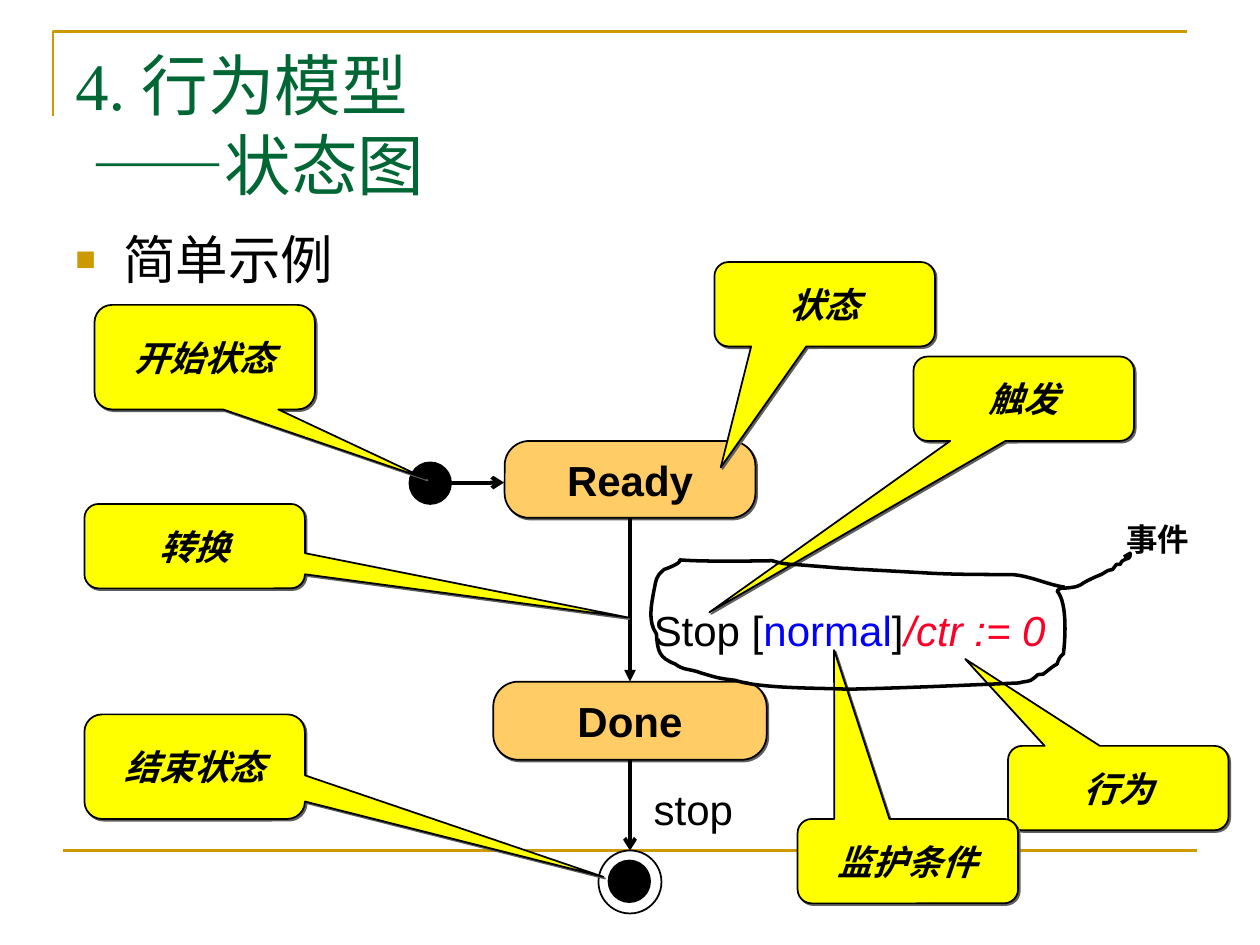
from pptx import Presentation
from pptx.dml.color import RGBColor
from pptx.enum.shapes import MSO_CONNECTOR, MSO_SHAPE
from pptx.enum.text import MSO_ANCHOR, PP_ALIGN
from pptx.oxml.ns import qn
from pptx.util import Inches, Pt
from lxml.etree import SubElement

BLACK = RGBColor(0, 0, 0)
WHITE = RGBColor(255, 255, 255)
GOLD = RGBColor(0xCC, 0x99, 0x00)
GREEN = RGBColor(0x00, 0x66, 0x33)
ORANGE = RGBColor(0xFF, 0xCC, 0x66)
YELLOW = RGBColor(0xFF, 0xFF, 0x00)
BLUE = RGBColor(0x00, 0x00, 0xFF)
RED = RGBColor(0xFC, 0x01, 0x28)

AXIS = 5  # the states are centred on this x
# name: top, width, height
STATES = {"Ready": (3.5, 1.99, 0.61), "Done": (5.41, 2.17, 0.62)}
# text, left, top, width, height, tip of the pointer
CALLOUTS = [
    ("状态", 5.67, 2.08, 1.75, 0.67, (5.72, 3.71)),
    ("触发", 7.25, 2.83, 1.75, 0.67, (5.63, 4.86)),
    ("行为", 8, 5.92, 1.75, 0.67, (7.66, 5.23)),
    ("开始状态", 0.75, 2.42, 1.75, 0.83, (3.38, 3.8)),
    ("转换", 0.67, 4, 1.75, 0.67, (4.98, 4.9)),
    ("结束状态", 0.67, 5.67, 1.75, 0.83, (4.79, 6.96)),
    ("监护条件", 6.33, 6.5, 1.75, 0.67, (6.62, 5.16)),
]
# left, top, width, height, size, bold, italic, (text, colour) runs
LABELS = [
    (5.09, 6.17, 0.83, 0.5, 24, False, False, [("stop", BLACK)]),
    (7.08, 4.75, 1.32, 0.5, 24, False, True, [("/ctr := 0", RED)]),
    (5.09, 4.75, 2.18, 0.5, 24, False, False,
     [("Stop [", BLACK), ("normal", BLUE), ("]", BLACK)]),
    (8.84, 4.08, 0.7, 0.4, 18, True, False, [("事件", BLACK)]),
]
# Hand-drawn loop: start, then Bezier segments (two controls and an end)
LOOP_START = (8.45, 4.66)
LOOP_CURVES = [
    (8.31, 4.64, 8.18, 4.57, 8.03, 4.56), (7.82, 4.56, 7.61, 4.56, 7.4, 4.55),
    (7.22, 4.54, 7.04, 4.53, 6.86, 4.52), (6.8, 4.52, 6.74, 4.51, 6.68, 4.51),
    (6.56, 4.5, 6.31, 4.48, 6.31, 4.48), (6.25, 4.48, 6.19, 4.47, 6.13, 4.45),
    (4.97, 4.47, 5.63, 4.39, 5.27, 4.52), (5.26, 4.53, 5.24, 4.55, 5.23, 4.56),
    (5.2, 4.6, 5.2, 4.65, 5.19, 4.69), (5.17, 4.8, 5.14, 4.93, 5.21, 5.03),
    (5.22, 5.17, 5.23, 5.22, 5.36, 5.27), (5.42, 5.32, 5.49, 5.31, 5.56, 5.34),
    (5.7, 5.38, 5.68, 5.38, 5.84, 5.4), (6.04, 5.47, 6.6, 5.46, 6.72, 5.47),
    (7.19, 5.46, 7.62, 5.44, 8.09, 5.42), (8.11, 5.41, 8.16, 5.41, 8.18, 5.4),
    (8.27, 5.34, 8.2, 5.36, 8.28, 5.35), (8.32, 5.32, 8.35, 5.29, 8.39, 5.27),
    (8.4, 5.24, 8.41, 5.21, 8.44, 5.19), (8.45, 5.12, 8.48, 4.79, 8.39, 4.69),
    (8.44, 4.65, 8.39, 4.68, 8.52, 4.66), (8.54, 4.66, 8.58, 4.64, 8.58, 4.64),
    (8.62, 4.61, 8.69, 4.58, 8.74, 4.56), (8.81, 4.52, 8.78, 4.53, 8.83, 4.52),
    (8.84, 4.51, 8.85, 4.49, 8.86, 4.48), (8.87, 4.48, 8.88, 4.48, 8.89, 4.48),
    (8.9, 4.47, 8.9, 4.45, 8.91, 4.45), (8.95, 4.42, 8.97, 4.45, 8.97, 4.39),
]
LOOP_END = (8.92, 4.42)

presentation = Presentation()
presentation.slide_width, presentation.slide_height = Inches(10), Inches(7.5)
slide = presentation.slides.add_slide(presentation.slide_layouts[6])
shapes = slide.shapes


def set_font(font, size, color=None, bold=False, italic=False, name="Arial"):
    font.name, font.size, font.bold, font.italic = name, Pt(size), bold, italic
    if color is not None:
        font.color.rgb = color


def add_line(start, end, color, width, tail=None):
    line = shapes.add_connector(
        MSO_CONNECTOR.STRAIGHT, *[Inches(value) for value in (*start, *end)])
    line.line.color.rgb, line.line.width = color, Pt(width)
    if tail:
        SubElement(line.line._get_or_add_ln(), qn("a:tailEnd"), type=tail)
    SubElement(line._element.spPr, qn("a:effectLst"))
    return line


def add_outline(points, color, width):
    """Draw an open, unfilled path through points in inches."""
    corners = [(Inches(x), Inches(y)) for x, y in points]
    builder = shapes.build_freeform(*corners[0])
    builder.add_line_segments(corners[1:], close=False)
    outline = builder.convert_to_shape()
    outline.shadow.inherit = False
    outline.fill.background()
    outline.line.color.rgb, outline.line.width = color, Pt(width)
    return outline


def bend(outline, curve_count):
    """Turn each three leading line segments into one Bezier curve."""
    segments = list(outline._element.iter(qn("a:lnTo")))
    for index in range(curve_count):
        control, *others = segments[3 * index:3 * index + 3]
        control.tag = qn("a:cubicBezTo")
        for other in others:
            control.append(other[0])
            other.getparent().remove(other)


def add_solid(kind, left, top, width, height, fill):
    shape = shapes.add_shape(kind, *map(Inches, (left, top, width, height)))
    shape.shadow.inherit = False
    shape.fill.solid()
    shape.fill.fore_color.rgb = fill
    shape.line.color.rgb, shape.line.width = BLACK, Pt(1)
    return shape


def add_box(kind, left, top, width, height, fill, text, size, italic, wrap):
    """Add a filled shape with centred bold text and a hard shadow."""
    shape = add_solid(kind, left, top, width, height, fill)
    effects = shape._element.spPr.find(qn("a:effectLst"))
    shadow = SubElement(effects, qn("a:outerShdw"), blurRad="0",
                        dist=str(Pt(1.4)), dir="2700000", algn="ctr")
    SubElement(shadow, qn("a:srgbClr"), val="5F5F5F")
    frame = shape.text_frame
    frame.word_wrap, frame.vertical_anchor = wrap, MSO_ANCHOR.MIDDLE
    frame.text = text
    paragraph = frame.paragraphs[0]
    paragraph.alignment = PP_ALIGN.CENTER
    set_font(paragraph.font, size, BLACK, True, italic)
    return shape


def add_paragraph_box(left, top, width, height, wrap=True):
    """Add a text box and return its only paragraph."""
    box = shapes.add_textbox(*map(Inches, (left, top, width, height)))
    box.text_frame.word_wrap = wrap
    return box.text_frame.paragraphs[0]


def add_run(paragraph, text):
    run = paragraph.add_run()
    run.text = text
    return run


def set_hanging_indent(paragraph, inches):
    properties = paragraph._p.get_or_add_pPr()
    properties.set("marL", str(Inches(inches)))
    properties.set("indent", str(Inches(-inches)))
    return properties


# Frame, title and heading
add_outline([(0.42, 0.92), (0.42, 0.25), (9.42, 0.25)], GOLD, 1.5)
add_line((0.5, 6.75), (9.5, 6.75), GOLD, 1.5)

title = add_paragraph_box(0.5, 0.3, 9, 1.25)
set_hanging_indent(title, 0.13)
add_run(title, "4. 行为模型")
title.add_line_break()
add_run(title, "——").font.name = "Arial"
add_run(title, "状态图")
set_font(title.font, 38, GREEN, name="Times New Roman")

heading = add_paragraph_box(0.5, 1.75, 9, 4.95)
add_run(heading, "简单示例")
properties = set_hanging_indent(heading, 0.38)
SubElement(SubElement(properties, qn("a:buClr")), qn("a:srgbClr"), val=str(GOLD))
SubElement(properties, qn("a:buSzPct"), val="65000")
SubElement(properties, qn("a:buFont"), typeface="Arial")
SubElement(properties, qn("a:buChar"), char="■")
set_font(heading.font, 30, BLACK)

# State diagram
states = {
    name: add_box(MSO_SHAPE.ROUNDED_RECTANGLE, AXIS - width / 2, top, width, height,
                  ORANGE, name, 24, False, True)
    for name, (top, width, height) in STATES.items()
}
for state in states.values():
    state.adjustments[0] = 0.32
add_line((3.42, 3.83), (4, 3.83), BLACK, 2.25, "arrow")
add_solid(MSO_SHAPE.OVAL, 3.25, 3.67, 0.33, 0.33, BLACK)
final_ring = add_solid(MSO_SHAPE.OVAL, AXIS - 0.25, 6.75, 0.5, 0.5, WHITE)
add_solid(MSO_SHAPE.OVAL, AXIS - 0.17, 6.83, 0.33, 0.33, BLACK)
for source, target, tail in [(states["Ready"], states["Done"], "triangle"),
                             (states["Done"], final_ring, "arrow")]:
    transition = add_line((AXIS, 4), (AXIS, 5), BLACK, 2.25, tail)
    transition.begin_connect(source, 2)
    transition.end_connect(target, 0)

for left, top, width, height, size, bold, italic, runs in LABELS:
    paragraph = add_paragraph_box(left, top, width, height, wrap=False)
    set_font(paragraph.font, size, None, bold, italic)
    for text, color in runs:
        add_run(paragraph, text).font.color.rgb = color

for text, left, top, width, height, (tip_x, tip_y) in CALLOUTS:
    callout = add_box(MSO_SHAPE.ROUNDED_RECTANGULAR_CALLOUT, left, top, width, height,
                      YELLOW, text, 20, True, False)
    callout.adjustments[0] = (tip_x - left) / width - 0.5
    callout.adjustments[1] = (tip_y - top) / height - 0.5
    callout.adjustments[2] = 0.167

loop_points = [curve[i:i + 2] for curve in LOOP_CURVES for i in (0, 2, 4)]
loop = add_outline([LOOP_START, *loop_points, LOOP_END], BLACK, 2)
bend(loop, len(LOOP_CURVES))

presentation.save("out.pptx")
